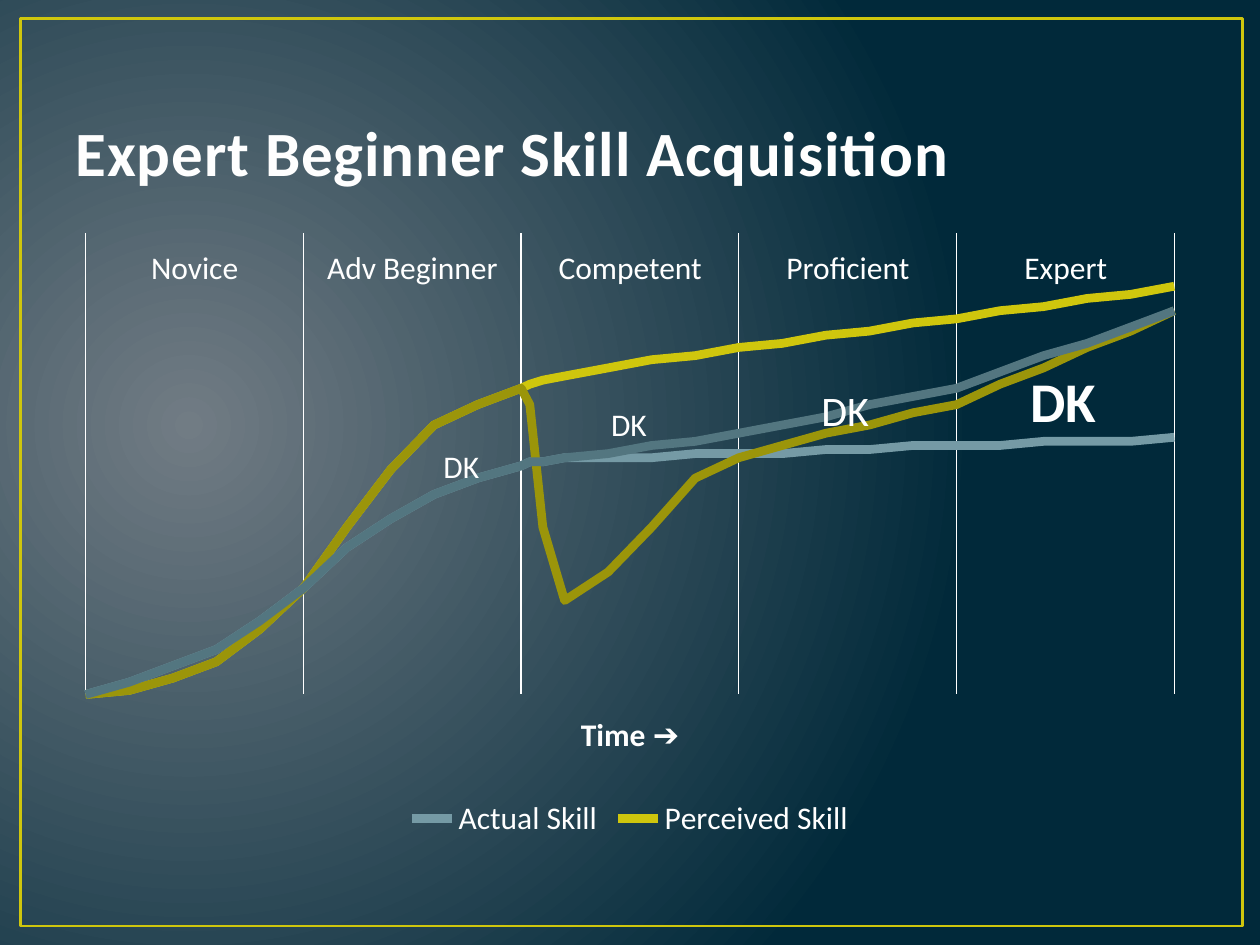
from pptx import Presentation
from pptx.chart.data import XyChartData
from pptx.dml.color import RGBColor
from pptx.enum.chart import XL_CHART_TYPE, XL_LEGEND_POSITION
from pptx.enum.shapes import MSO_SHAPE
from pptx.enum.text import MSO_ANCHOR, PP_ALIGN
from pptx.oxml import parse_xml
from pptx.oxml.ns import nsdecls
from pptx.util import Cm, Pt

WHITE = RGBColor(0xFF, 0xFF, 0xFF)
TITLE_WHITE = RGBColor(0xFE, 0xFE, 0xFE)
GREY = RGBColor(0x71, 0x7C, 0x84)
NAVY = RGBColor(0x01, 0x29, 0x3A)
YELLOW = RGBColor(0xCF, 0xC6, 0x0D)
OLIVE = RGBColor(0x9B, 0x95, 0x0A)
TEAL = RGBColor(0x53, 0x76, 0x80)
LIGHT_TEAL = RGBColor(0x75, 0x9A, 0xA5)

TIMES = [*range(11), 10.2, 10.5, *range(11, 26)]
ACTUAL_START = [0, 3, 7, 11, 18, 26, 36, 43, 49, 53, 56, 57, 57, 58]
PERCEIVED_START = [0, 1, 4, 8, 16, 26, 41, 55, 66, 71, 75]
SERIES = [
    ("Series 1", TEAL, ACTUAL_START
     + [59, 61, 62, 64, 66, 68, 71, 73, 75, 79, 83, 86, 90, 94]),
    ("Series 2", OLIVE, PERCEIVED_START
     + [71, 41, 23, 30, 41, 53, 58, 61, 64, 66, 69, 71, 76, 80, 85, 89, 94]),
    ("Actual Skill", LIGHT_TEAL, ACTUAL_START
     + [58, 58, 59, 59, 59, 60, 60, 61, 61, 61, 62, 62, 62, 63]),
    ("Perceived Skill", YELLOW, PERCEIVED_START
     + [76, 77, 78, 80, 82, 83, 85, 86, 88, 89, 91, 92, 94, 95, 97, 98, 100]),
]
HIDDEN_LEGEND_ENTRIES = (0, 1)
PLOT_LAYOUT = {"x": 0.02, "y": 0.02, "w": 0.96, "h": 0.74}
STAGES = ["Novice", "Adv Beginner", "Competent", "Proficient", "Expert"]
MARKS = [
    (8.69, 8.89, 1.9, 1.02, 18, False),
    (12.07, 8.05, 1.9, 1.02, 18, False),
    (16.31, 7.62, 1.9, 1.27, 24, False),
    (20.52, 7.26, 3.6, 1.63, 32, True),
]


def apply(target, values):
    """Set each named attribute on the target."""
    for name, value in values.items():
        setattr(target, name, value)


class SlideBuilder:
    """Hold the text style and the current slide."""

    def __init__(self, slide, font="Calibri"):
        self.slide = slide
        self.font = font

    def style(self, font, size, color=WHITE, bold=False):
        """Format a font."""
        apply(font, {"name": self.font, "size": Pt(size), "bold": bold})
        font.color.rgb = color

    def background(self, inner, outer):
        """Fill the slide with a circular gradient."""
        fill = self.slide.background.fill
        fill.gradient()
        for stop, position, color in zip(fill.gradient_stops, (0, 1), (inner, outer)):
            stop.position = position
            stop.color.rgb = color
        linear = self.slide.element.xpath(".//p:bg//a:lin")[0]
        linear.getparent().replace(linear, parse_xml(
            f'<a:path {nsdecls("a")} path="circle">'
            '<a:fillToRect l="15000" t="50000" r="85000" b="60000"/></a:path>'))

    def frame(self, left, top, width, height):
        """Draw the outline around the slide."""
        frame = self.slide.shapes.add_shape(
            MSO_SHAPE.RECTANGLE, Cm(left), Cm(top), Cm(width), Cm(height))
        frame.shadow.inherit = False
        frame.fill.background()
        frame.line.color.rgb = YELLOW
        frame.line.width = Pt(1.5)

    def title(self, text, left, top, width, height):
        """Place and format the title placeholder."""
        title = self.slide.shapes.title
        apply(title, {"left": Cm(left), "top": Cm(top),
                      "width": Cm(width), "height": Cm(height)})
        apply(title.text_frame, {"text": text, "vertical_anchor": MSO_ANCHOR.BOTTOM})
        para = title.text_frame.paragraphs[0]
        para.alignment = PP_ALIGN.LEFT
        span = para.runs[0]
        self.style(span.font, 36, TITLE_WHITE, True)
        span.font._element.set("spc", "50")

    def label(self, text, left, top, width, height, size=18, bold=False,
              alignment=PP_ALIGN.LEFT):
        """Add a text box with one line of text."""
        box = self.slide.shapes.add_textbox(Cm(left), Cm(top), Cm(width), Cm(height))
        apply(box.text_frame, {"word_wrap": True, "text": text})
        para = box.text_frame.paragraphs[0]
        para.alignment = alignment
        self.style(para.runs[0].font, size, bold=bold)

    def skill_chart(self, left, top, width, height):
        """Add the smooth skill curves over time."""
        data = XyChartData()
        for name, _, values in SERIES:
            series = data.add_series(name)
            for time, value in zip(TIMES, values):
                series.add_data_point(time, value)
        chart = self.slide.shapes.add_chart(
            XL_CHART_TYPE.XY_SCATTER_SMOOTH_NO_MARKERS,
            Cm(left), Cm(top), Cm(width), Cm(height), data).chart
        apply(chart, {"has_title": False, "has_legend": True})
        self.style(chart.font, 18)
        for series, (_, color, _) in zip(chart.plots[0].series, SERIES):
            series.smooth = True
            series.format.line.color.rgb = color
            series.format.line.width = Pt(5)
        self.axes(chart)
        self.legend(chart)
        self.plot_layout(chart)

    def axes(self, chart):
        """Scale and hide the axes, keeping the stage gridlines."""
        apply(chart.category_axis, {
            "minimum_scale": 0, "maximum_scale": 25, "major_unit": 5,
            "has_major_gridlines": True, "visible": False})
        apply(chart.value_axis, {
            "minimum_scale": 0, "maximum_scale": 113,
            "has_major_gridlines": False, "visible": False})
        grid = chart.category_axis.major_gridlines.format.line
        grid.color.rgb = WHITE
        grid.width = Pt(0.75)
        heading = chart.category_axis.axis_title.text_frame
        heading.text = "Time ➔"
        self.style(heading.paragraphs[0].runs[0].font, 18, bold=True)

    def legend(self, chart):
        """Show the legend below, without the hidden entries."""
        apply(chart.legend, {"position": XL_LEGEND_POSITION.BOTTOM,
                             "include_in_layout": False})
        self.style(chart.legend.font, 18)
        position = chart.element.xpath(".//c:legend/c:legendPos")[0]
        for index in reversed(HIDDEN_LEGEND_ENTRIES):
            position.addnext(parse_xml(
                f'<c:legendEntry {nsdecls("c")}><c:idx val="{index}"/>'
                '<c:delete val="1"/></c:legendEntry>'))

    def plot_layout(self, chart):
        """Fix the inner plot area."""
        area = chart.element.xpath(".//c:plotArea")[0]
        for layout in area.xpath("./c:layout"):
            area.remove(layout)
        sizes = "".join(f'<c:{key} val="{value}"/>' for key, value in PLOT_LAYOUT.items())
        area.insert(0, parse_xml(
            f'<c:layout {nsdecls("c")}><c:manualLayout><c:layoutTarget val="inner"/>'
            f'<c:xMode val="edge"/><c:yMode val="edge"/>{sizes}'
            '</c:manualLayout></c:layout>'))


def main():
    """Build and save the deck."""
    deck = Presentation()
    apply(deck, {"slide_width": Cm(25.4), "slide_height": Cm(19.05)})
    page = SlideBuilder(deck.slides.add_slide(deck.slide_layouts[5]))
    page.background(GREY, NAVY)
    page.frame(0.41, 0.38, 24.64, 18.29)
    page.title("Expert Beginner Skill Acquisition", 1.27, 0.76, 22.86, 3.18)
    page.skill_chart(1.27, 4.45, 22.86, 12.57)
    for left, top, width, height, size, bold in MARKS:
        page.label("DK", left, top, width, height, size, bold)
    for index, stage in enumerate(STAGES):
        page.label(stage, 1.7 + 4.39 * index, 4.88, 4.45, 1.02,
                   alignment=PP_ALIGN.CENTER)
    deck.save("out.pptx")


if __name__ == "__main__":
    main()
